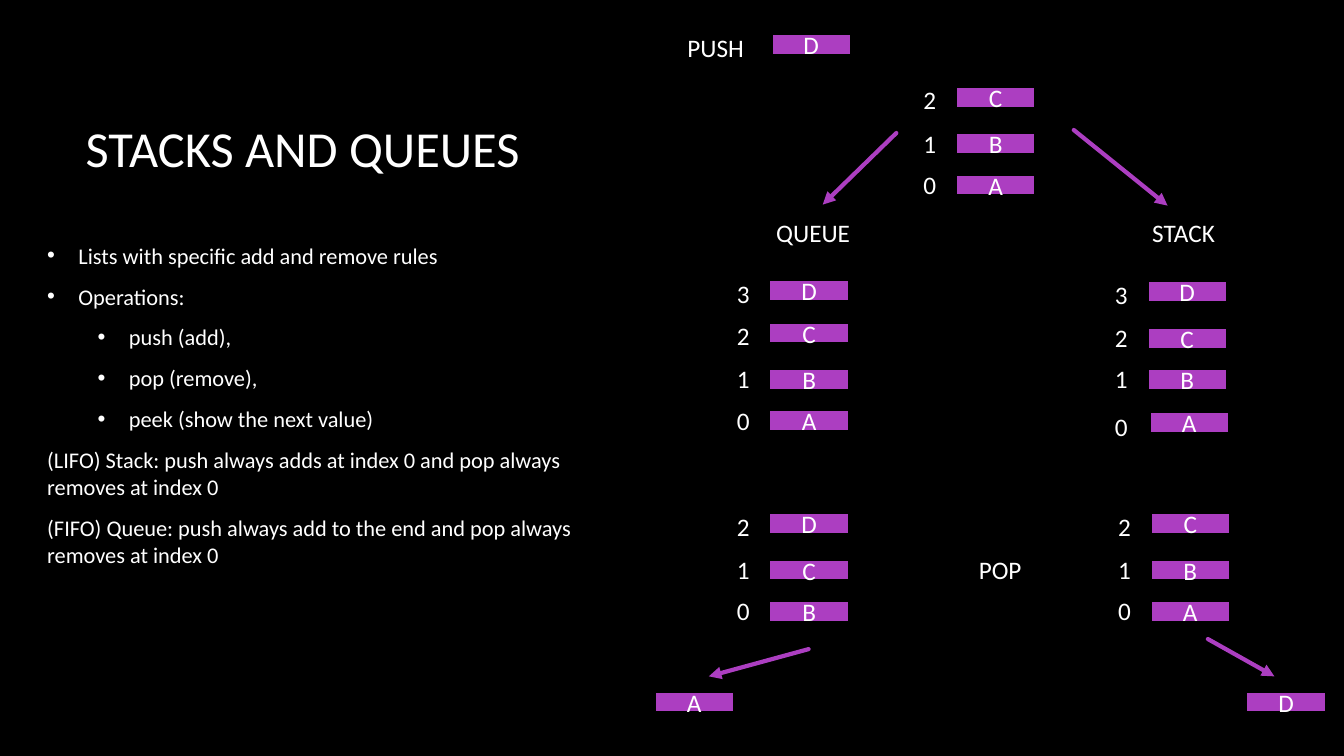
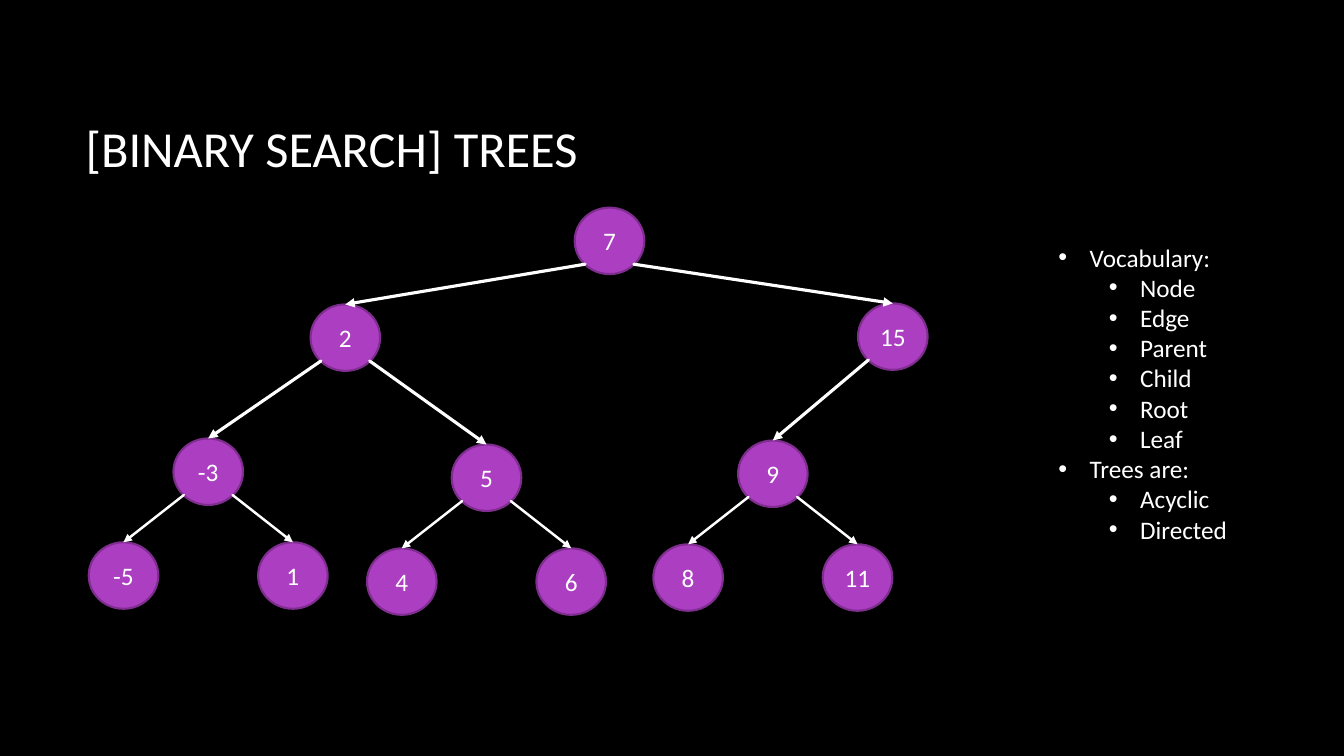
"""Two lecture slides on black: stacks and queues, and binary search trees."""
from lxml import etree
from pptx import Presentation
from pptx import util as u
from pptx.dml.color import RGBColor
from pptx.enum import shapes, text
from pptx.oxml.ns import qn

HUES = {"back": "000000", "ink": "FFFFFF", "fill": "AC3EC1", "edge": "7F2E8F"}
FONT = "Calibri"
WIDE, HIGH = 13.33, 7.5

RULES = [
    ("Lists with specific add and remove rules", 0),
    ("Operations:", 0),
    ("push (add),", 1),
    ("pop (remove),", 1),
    ("peek (show the next value)", 1),
    ("(LIFO) Stack: push always adds at index 0 and pop always removes at index 0", None),
    ("(FIFO) Queue: push always add to the end and pop always removes at index 0", None),
]
WORDS = [("Vocabulary:", 0)]
WORDS += [(word, 1) for word in ("Node", "Edge", "Parent", "Child", "Root", "Leaf")]
WORDS += [("Trees are:", 0), ("Acyclic", 1), ("Directed", 1)]

CELL = (0.85, 0.27)
RISES = [(0, 0.07), (0.41, 0.48), (0.87, 0.91), (1.29, 1.33)]
PILES = [
    (9.45, 1.7, 0, "ABC"),
    (7.6, 4.04, 0, "ABCD"),
    (11.35, 3.63, 1, "BCD"),
    (7.6, 5.93, 0, "BCD"),
    (11.38, 5.93, 0, "ABC"),
]
CELLS = [("D", 7.62, 0.31), ("A", 11.37, 4.06), ("A", 6.46, 6.83), ("D", 12.33, 6.83)]
TAGS = [
    ("PUSH", 6.72, 0.27),
    ("QUEUE", 7.6, 2.11),
    ("STACK", 11.33, 2.11),
    ("POP", 9.61, 5.45),
    ("0", 10.96, 4.03),
]
ARROWS = [
    ((10.65, 1.29), (11.58, 2.04)),
    ((8.89, 1.32), (8.16, 2.03)),
    ((8.02, 6.44), (7.03, 6.71)),
    ((11.98, 6.34), (12.64, 6.71)),
]

NODE = (0.69, 0.66)
DROP = (0.84, 1.03)
TREE = {"7": (5.7, 2.06), "2": (3.08, 3.02), "15": (8.51, 3.01),
        "-3": (1.72, 4.35), "5": (4.48, 4.41), "9": (7.32, 4.37)}
EDGES = [("7", "2"), ("7", "15"), ("2", "-3"), ("2", "5"), ("15", "9")]
LEAVES = {"-3": ("-5", "1"), "5": ("4", "6"), "9": ("8", "11")}


def hue(name):
    return RGBColor.from_string(HUES[name])


def box(*sizes):
    return [u.Inches(size) for size in sizes]


def write(par, words, size):
    run = par.add_run()
    run.text = words
    run.font.name, run.font.size = FONT, u.Pt(size)
    run.font.color.rgb = hue("ink")


def start(deck, title, width):
    slide = deck.slides.add_slide(deck.slide_layouts[5])
    head = slide.shapes.title
    head.left, head.top, head.width, head.height = box(0.75, 0.67, width, 1.59)
    head.text_frame.vertical_anchor = text.MSO_ANCHOR.MIDDLE
    par = head.text_frame.paragraphs[0]
    par.alignment = text.PP_ALIGN.LEFT
    write(par, title, 36)
    return slide


def label(slide, words, left, top, width=1.4):
    frame = slide.shapes.add_textbox(*box(left, top, width, 0.4)).text_frame
    frame.word_wrap = True
    write(frame.paragraphs[0], words, 18)


def block(slide, kind, words, left, top, size, edge, line):
    shape = slide.shapes.add_shape(kind, *box(left, top, *size))
    shape.shadow.inherit = False
    shape.fill.solid()
    shape.fill.fore_color.rgb = hue("fill")
    shape.line.color.rgb = hue(edge)
    shape.line.width = u.Pt(line)
    frame = shape.text_frame
    frame.word_wrap = kind == shapes.MSO_SHAPE.RECTANGLE
    frame.vertical_anchor = text.MSO_ANCHOR.MIDDLE
    par = frame.paragraphs[0]
    par.alignment = text.PP_ALIGN.CENTER
    write(par, words, 18)


def cell(slide, words, left, top):
    block(slide, shapes.MSO_SHAPE.RECTANGLE, words, left, top, CELL, "back", 6)


def arrow(slide, tip, end, color, line):
    link = slide.shapes.add_connector(shapes.MSO_CONNECTOR.STRAIGHT, *box(*tip, *end))
    link.line.color.rgb = hue(color)
    link.line.width = u.Pt(line)
    props = link._element.spPr
    stroke = props.find(qn("a:ln"))
    stroke.set("cap", "rnd")
    etree.SubElement(stroke, qn("a:tailEnd"), type="triangle")
    etree.SubElement(props, qn("a:effectLst"))


def bullets(slide, items, place, size, after):
    frame = slide.shapes.add_textbox(*box(*place)).text_frame
    frame.word_wrap = True
    for row, (words, level) in enumerate(items):
        par = frame.add_paragraph() if row else frame.paragraphs[0]
        if level is not None:
            props = par._p.get_or_add_pPr()
            props.set("marL", str(u.Inches(0.31 + 0.5 * level)))
            props.set("indent", str(u.Inches(-0.31)))
            tint = etree.SubElement(props, qn("a:buClr"))
            etree.SubElement(tint, qn("a:srgbClr"), val=HUES["ink"])
            etree.SubElement(props, qn("a:buFont"), typeface="Arial")
            etree.SubElement(props, qn("a:buChar"), char="•")
            par.level = level
        par.space_after = u.Pt(after)
        write(par, words, size)


def stacks(deck):
    slide = start(deck, "STACKS AND QUEUES", 11.08)
    bullets(slide, RULES, (0.37, 2.35, 5.92, 3.5), 16, 10)
    for left, base, first, names in PILES:
        for row, (name, (rise, lift)) in enumerate(zip(names, RISES)):
            cell(slide, name, left, base - rise)
            label(slide, str(first + row), left - 0.39, base - lift, 0.38)
    for item in CELLS:
        cell(slide, *item)
    for tag in TAGS:
        label(slide, *tag)
    for tip, end in ARROWS:
        arrow(slide, tip, end, "fill", 3)


def trees(deck):
    slide = start(deck, "[BINARY SEARCH] TREES", 8.45)
    spots = dict(TREE)
    links = [(*edge, 2.25) for edge in EDGES]
    for top, pair in LEAVES.items():
        left, high = TREE[top]
        for side, leaf in zip((-1, 1), pair):
            spots[leaf] = (left + side * DROP[0], high + DROP[1])
            links.append((top, leaf, 1.75))
    for name, spot in spots.items():
        block(slide, shapes.MSO_SHAPE.OVAL, name, *spot, NODE, "edge", 1.5)
    wide, high = NODE
    for top, low, line in links:
        (left, y), (x, end) = spots[top], spots[low]
        share = 0.15 if x < left else 0.85
        arrow(slide, (left + share * wide, y + 0.85 * high), (x + wide / 2, end), "ink", line)
    bullets(slide, WORDS, (10.4, 2.35, 2.8, 3.13), 18, 0)


def main():
    deck = Presentation()
    deck.slide_width, deck.slide_height = box(WIDE, HIGH)
    back = deck.slide_master.background.fill
    back.solid()
    back.fore_color.rgb = hue("back")
    stacks(deck)
    trees(deck)
    deck.save("out.pptx")


if __name__ == "__main__":
    main()
